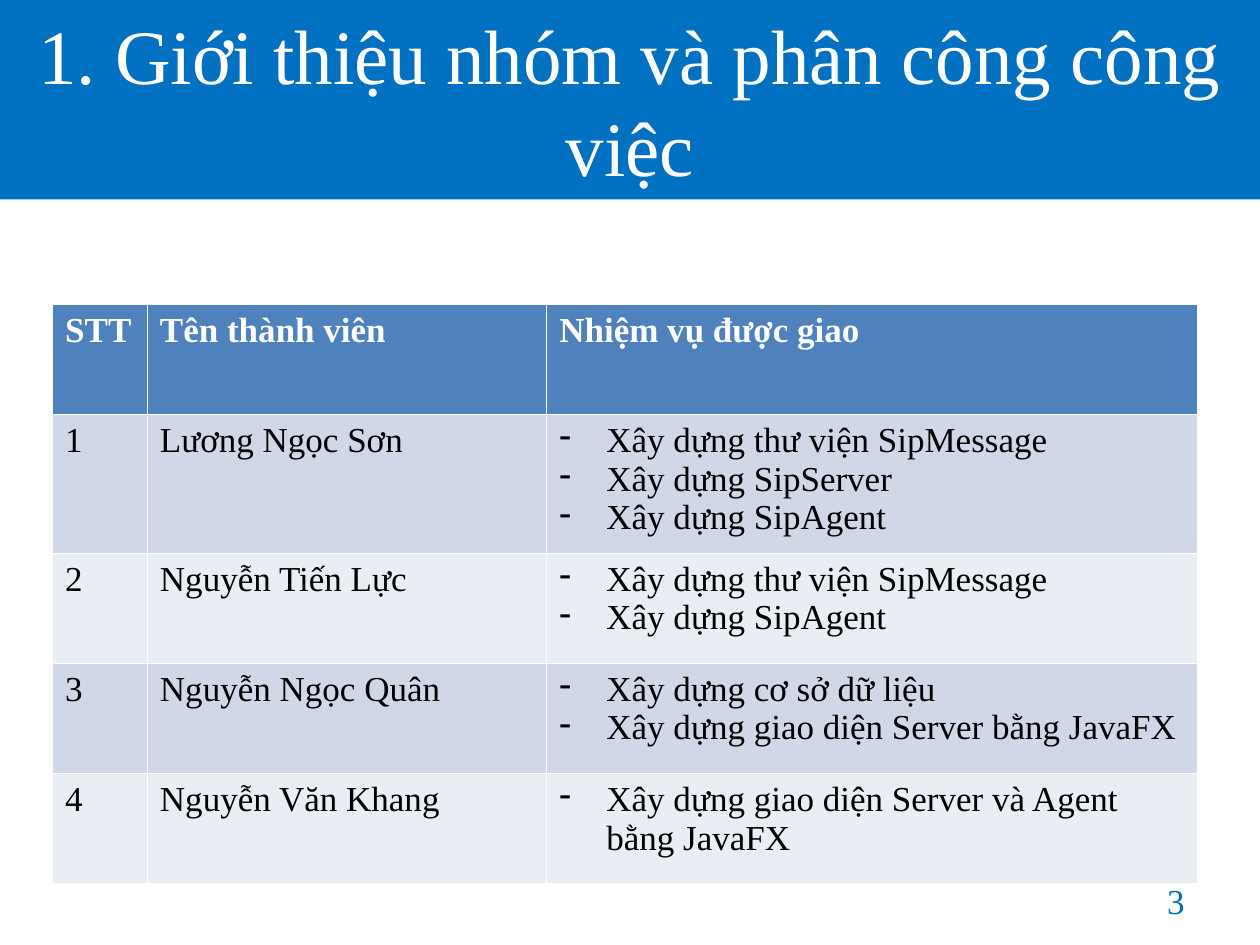
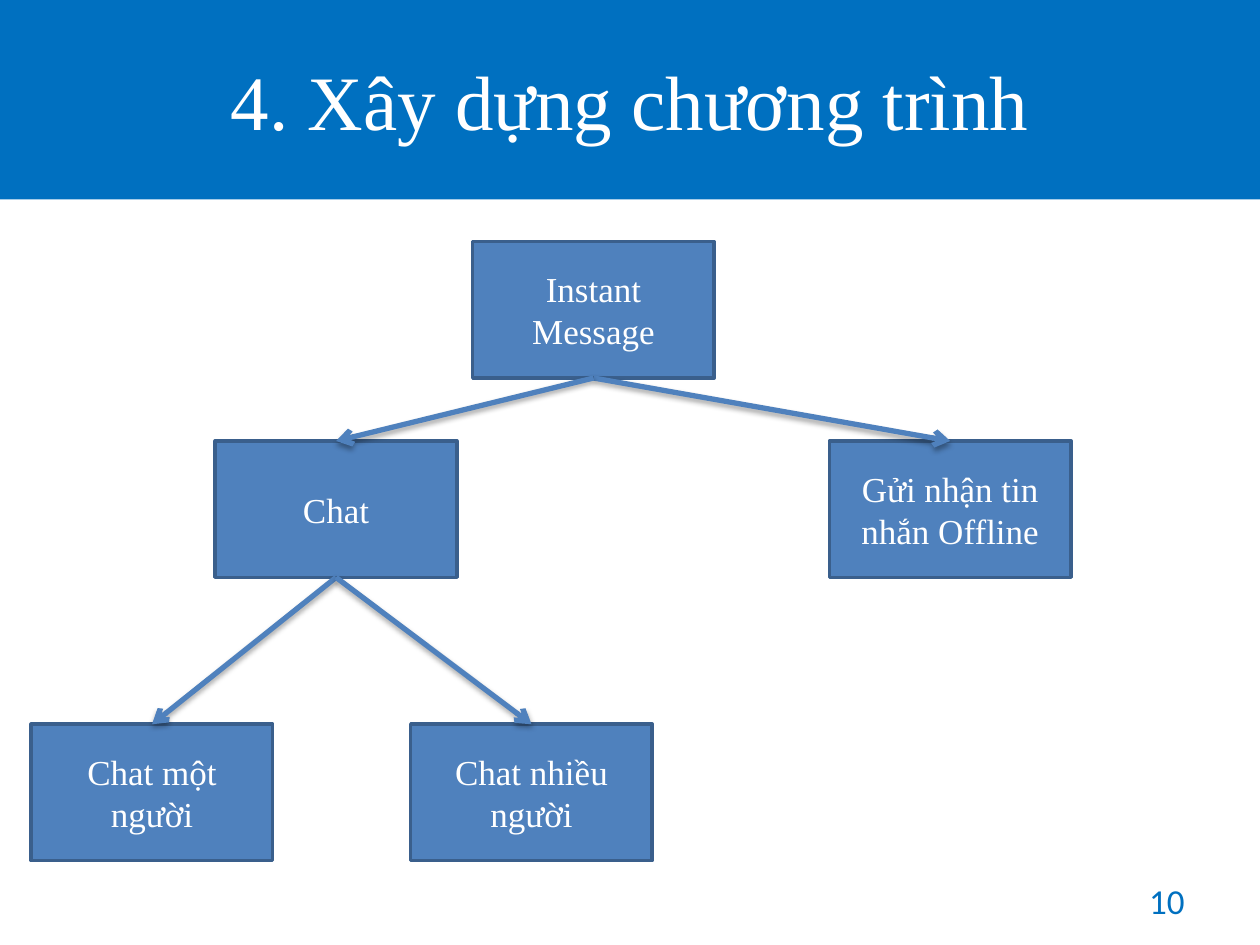
"""Builds two slides: the team's task table and the tree of message features."""
from dataclasses import dataclass

from lxml import etree
from pptx import Presentation
from pptx import util as u
from pptx.dml.color import RGBColor as Rgb
from pptx.enum import shapes, text
from pptx.oxml import parse_xml
from pptx.oxml.ns import nsdecls, qn


@dataclass(frozen=True)
class Theme:
    band: Rgb = Rgb.from_string("0070C0")
    main: Rgb = Rgb.from_string("4F81BD")
    edge: Rgb = Rgb.from_string("3A5F8C")
    odd: Rgb = Rgb.from_string("D0D8E8")
    even: Rgb = Rgb.from_string("E9EDF4")
    white: Rgb = Rgb.from_string("FFFFFF")
    black: Rgb = Rgb.from_string("000000")
    serif: str = "Times New Roman"
    sans: str = "Calibri"
    big: int = 44
    base: int = 20


look = Theme()


def write(para, words, color, size=look.base, face=look.serif, bold=False):
    run = para.add_run()
    run.text = words
    font = run.font
    font.name, font.size, font.bold = face, u.Pt(size), bold
    font.color.rgb = color


def start(deck, title, number, face):
    slide = deck.slides.add_slide(deck.slide_layouts[5])
    head = slide.shapes.title
    head.left, head.top = 0, 0
    head.width, head.height = deck.slide_width, u.Cm(4.02)
    head.fill.solid()
    head.fill.fore_color.rgb = look.band
    frame = head.text_frame
    frame.auto_size = text.MSO_AUTO_SIZE.NONE
    frame.vertical_anchor = text.MSO_ANCHOR.MIDDLE
    frame.paragraphs[0].alignment = text.PP_ALIGN.CENTER
    write(frame.paragraphs[0], title, look.white, look.big)

    foot = slide.shapes.add_textbox(u.Cm(18.2), u.Cm(17.65), u.Cm(5.93), u.Cm(1.02))
    frame = foot.text_frame
    frame.word_wrap = True
    frame.vertical_anchor = text.MSO_ANCHOR.MIDDLE
    frame.paragraphs[0].alignment = text.PP_ALIGN.RIGHT
    write(frame.paragraphs[0], number, look.band, face=face)
    return slide


deck = Presentation()
deck.slide_width, deck.slide_height = u.Cm(25.4), u.Cm(19.05)

team = start(deck, "1. Giới thiệu nhóm và phân công công việc", "3", look.serif)
heads = ["STT", "Tên thành viên", "Nhiệm vụ được giao"]
tasks = [
    ("Lương Ngọc Sơn",
     ["Xây dựng thư viện SipMessage", "Xây dựng SipServer", "Xây dựng SipAgent"]),
    ("Nguyễn Tiến Lực", ["Xây dựng thư viện SipMessage", "Xây dựng SipAgent"]),
    ("Nguyễn Ngọc Quân",
     ["Xây dựng cơ sở dữ liệu", "Xây dựng giao diện Server bằng JavaFX"]),
    ("Nguyễn Văn Khang", ["Xây dựng giao diện Server và Agent bằng JavaFX"]),
]
widths = [1.91, 8.05, 13.12]
heights = [2.22, 2.64, 2.22, 2.22, 2.22]
grid = team.shapes.add_table(
    len(heights), len(widths), u.Cm(1.06), u.Cm(6.14),
    u.Cm(sum(widths)), u.Cm(sum(heights))).table
for col, width in zip(grid.columns, widths):
    col.width = u.Cm(width)
for row, height in zip(grid.rows, heights):
    row.height = u.Cm(height)

rows = [[[word] for word in heads]]
rows += [[[str(num)], [name], jobs] for num, (name, jobs) in enumerate(tasks, 1)]
for r, row in enumerate(rows):
    fill = look.main if r == 0 else look.odd if r % 2 else look.even
    for c, lines in enumerate(row):
        cell = grid.cell(r, c)
        cell.fill.solid()
        cell.fill.fore_color.rgb = fill
        for i, line in enumerate(lines):
            frame = cell.text_frame
            para = frame.add_paragraph() if i else frame.paragraphs[0]
            write(para, line, look.black if r else look.white, bold=r == 0)
            if r and c == 2:
                props = para._p.get_or_add_pPr()
                props.set("marL", str(u.Cm(0.95)))
                props.set("indent", str(-u.Cm(0.95)))
                etree.SubElement(props, qn("a:buChar")).set("char", "-")

tree = start(deck, "4. Xây dựng chương trình", "10", look.sans)
nodes = {
    "root": ("Instant Message", 9.53, 4.87),
    "chat": ("Chat", 4.34, 8.89),
    "off": ("Gửi nhận tin nhắn Offline", 16.72, 8.89),
    "one": ("Chat một người", 0.63, 14.6),
    "many": ("Chat nhiều người", 8.28, 14.6),
}
boxes = {}
for key, (words, left, top) in nodes.items():
    box = tree.shapes.add_shape(
        shapes.MSO_SHAPE.RECTANGLE, u.Cm(left), u.Cm(top), u.Cm(4.87), u.Cm(2.75))
    box.shadow.inherit = False
    box.fill.solid()
    box.fill.fore_color.rgb = look.main
    box.line.color.rgb = look.edge
    box.line.width = u.Pt(2)
    frame = box.text_frame
    frame.word_wrap = True
    frame.vertical_anchor = text.MSO_ANCHOR.MIDDLE
    frame.paragraphs[0].alignment = text.PP_ALIGN.CENTER
    write(frame.paragraphs[0], words, look.white)
    boxes[key] = box

shade = (
    f'<a:effectLst {nsdecls("a")}>'
    '<a:outerShdw blurRad="40000" dist="23000" dir="5400000" rotWithShape="0">'
    '<a:srgbClr val="000000"><a:alpha val="35000"/></a:srgbClr>'
    '</a:outerShdw></a:effectLst>')
bottom, top = 2, 0
for src, dest in [("root", "off"), ("root", "chat"), ("chat", "one"), ("chat", "many")]:
    link = tree.shapes.add_connector(shapes.MSO_CONNECTOR.STRAIGHT, 0, 0, 0, 0)
    link.begin_connect(boxes[src], bottom)
    link.end_connect(boxes[dest], top)
    link.line.color.rgb = look.main
    link.line.width = u.Pt(3)
    etree.SubElement(link.line._get_or_add_ln(), qn("a:tailEnd")).set("type", "arrow")
    link._element.spPr.append(parse_xml(shade))

deck.save("out.pptx")
